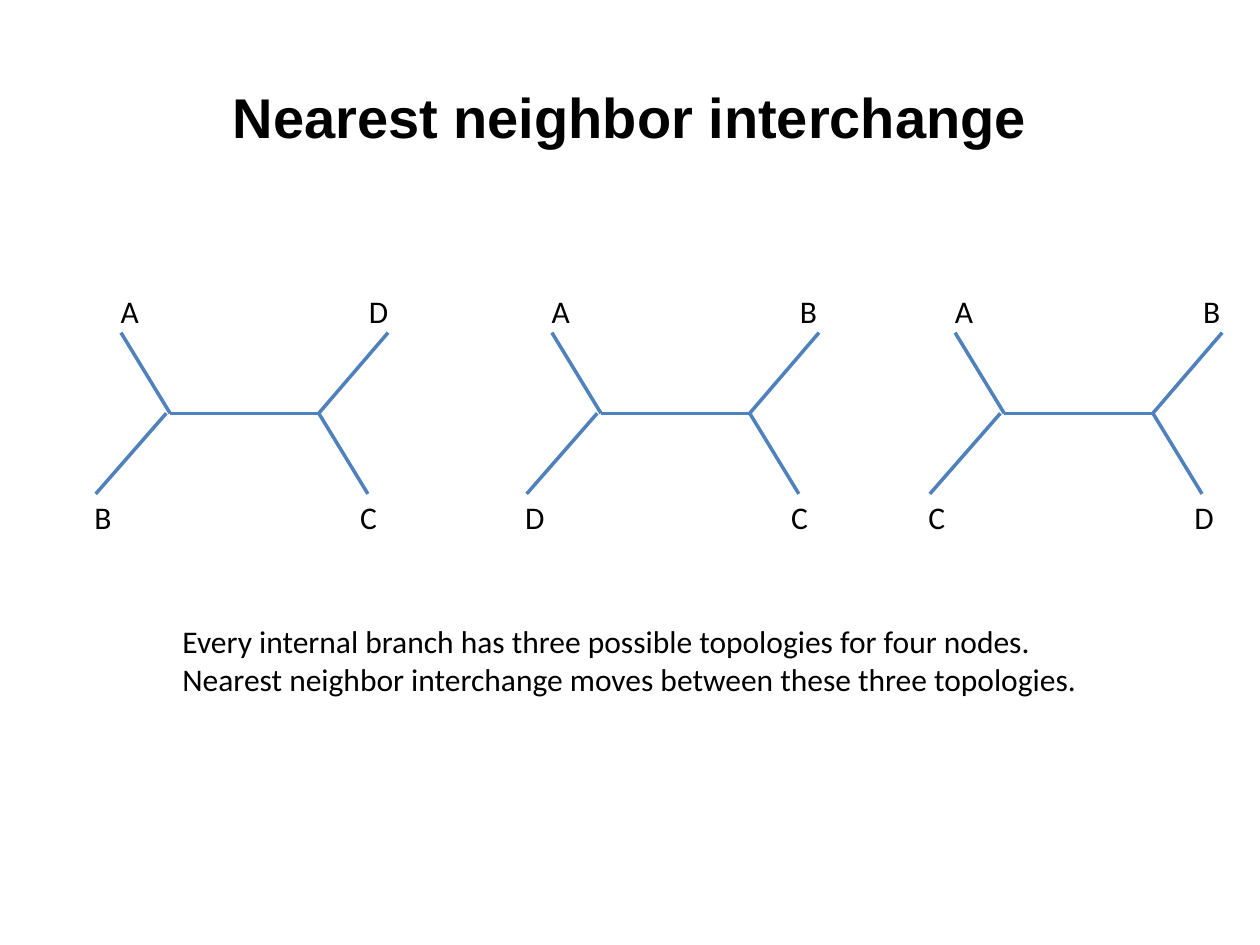
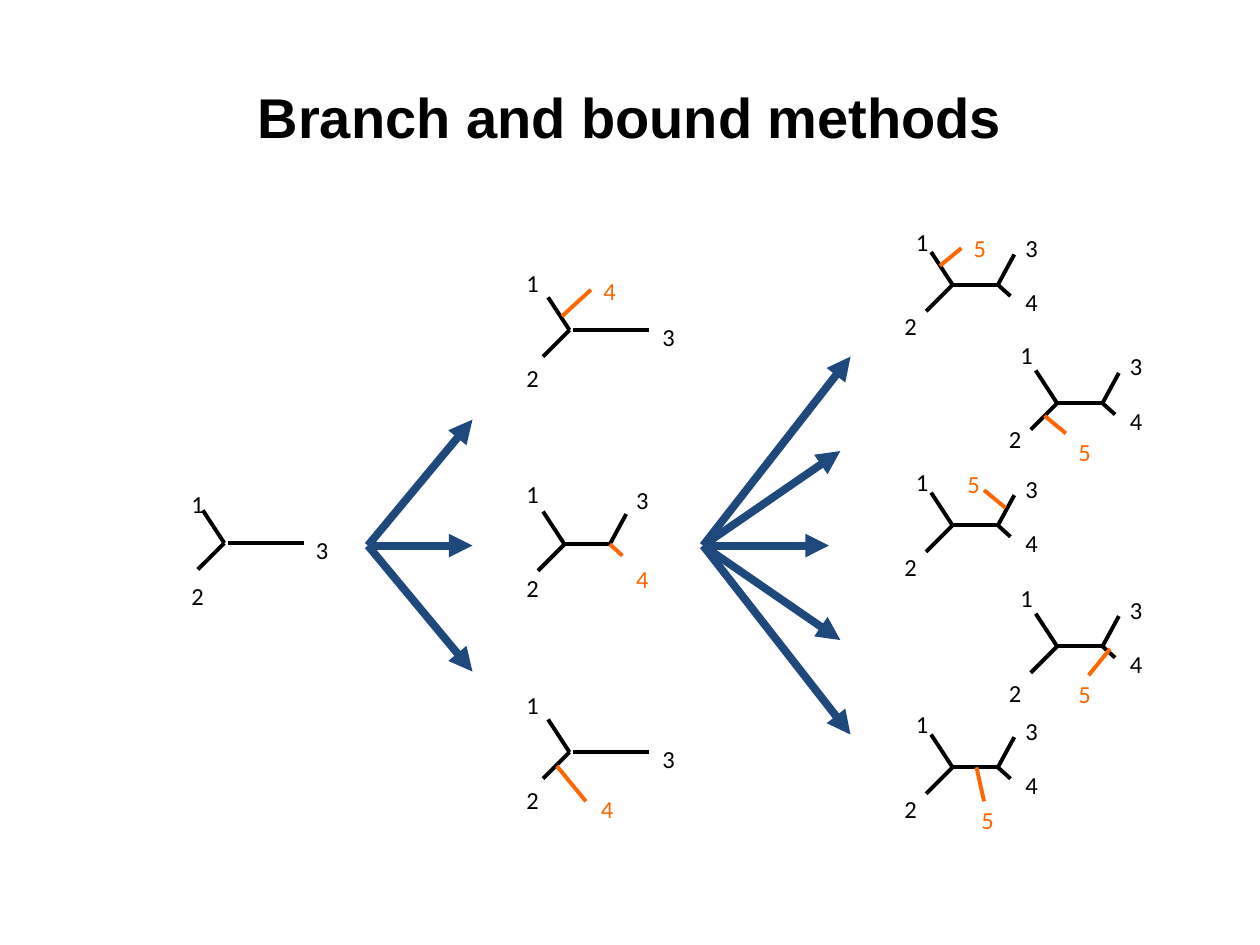
from dataclasses import dataclass

from lxml import etree
from pptx import Presentation
from pptx import util as u
from pptx.dml.color import RGBColor
from pptx.enum import shapes, text
from pptx.oxml import ns

PX = 9144  # EMU per px, 100 px to the inch


@dataclass(frozen=True)
class Theme:
    ink: str = "000000"
    blue: str = "4F81BD"
    navy: str = "1F497D"
    orange: str = "FF6600"
    title_font: str = "Arial"
    body_font: str = "Calibri"
    title_size: int = 32
    body_size: int = 18
    label_size: int = 14
    thin: float = 2
    medium: float = 2.25
    thick: float = 4.5


T = Theme()

# Branches run (x1, y1, x2, y2) and labels (dx, dy), both from the left node
WIDE_BRANCHES = [(0, 0, 118, 0), (-39, -64, 0, 0), (-3, 0, -59, 64),
                 (118, 0, 157, 64), (173, -64, 118, 0)]
WIDE_SPOTS = [(-49, -101), (-70, 62), (141, 62), (148, -101)]
FORK = [(0, 0, -17, -26), (0, 0, -21, 21)]
TRIPLE = FORK + [(3, 0, 63, 0)]
STEM = FORK + [(0, 0, 36, 0), (36, 0, 49, -24)]
LAST_TWIG = (36, 0, 46, 9)
QUARTET = STEM + [LAST_TWIG]

# Each tree: node, labels, then the new branch and the place of its label
FOUR_TAXA = [
    ((452, 262), (-6, -11, 17, -32), (17, -48)),
    ((452, 597), (-10, 11, 13, 39), (15, 28)),
]
# Each tree: node, dy of labels 1 and 2, new branch, place of its label
FIVE_TAXA = [
    ((756, 226), (-51, 16), (-10, -15, 7, -29), (7, -46)),
    ((839, 320), (-55, 12), (-10, 10, 7, 24), (7, 22)),
    ((756, 417), (-51, 16), (42, -14, 25, -28), (2, -50)),
    ((839, 513), (-55, 20), (42, 2, 25, 23), (7, 21)),
    ((756, 609), (-51, 16), (19, 0, 25, 27), (13, 25)),
]


def put_text(tf, *lines, size=T.body_size, font=T.body_font, color=T.ink,
             bold=False, align=text.PP_ALIGN.LEFT):
    for i, line in enumerate(lines):
        p = tf.add_paragraph() if i else tf.paragraphs[0]
        p.alignment = align
        r = p.add_run()
        r.text = line
        r.font.size, r.font.name, r.font.bold = u.Pt(size), font, bold
        r.font.color.rgb = RGBColor.from_string(color)


def add_label(parts, x, y, w, h, *lines, **fmt):
    tf = parts.add_textbox(*(v * PX for v in (x, y, w, h))).text_frame
    tf.word_wrap = False
    tf.auto_size = text.MSO_AUTO_SIZE.SHAPE_TO_FIT_TEXT
    put_text(tf, *lines, **fmt)


def add_line(parts, ends, color, width, arrow=False):
    c = parts.add_connector(shapes.MSO_CONNECTOR.STRAIGHT,
                            *(v * PX for v in ends))
    c.line.color.rgb = RGBColor.from_string(color)
    c.line.width = u.Pt(width)
    if arrow:
        tip = etree.SubElement(c.line._ln, ns.qn("a:tailEnd"))
        tip.set("type", "triangle")
    etree.SubElement(c._element.spPr, ns.qn("a:effectLst"))


def add_tree(parts, node, branches, labels, color=T.ink, width=T.medium,
             label_color=T.ink, size=T.label_size, box=(30, 33)):
    x, y = node
    for x1, y1, x2, y2 in branches:
        add_line(parts, (x + x1, y + y1, x + x2, y + y2), color, width)
    for name, (dx, dy) in labels.items():
        add_label(parts, x + dx, y + dy, *box, name,
                  size=size, color=label_color)


def add_new_branch(parts, node, branch, name, spot):
    add_tree(parts, node, [branch], {name: spot},
             color=T.orange, label_color=T.orange)


def add_arrows(parts, start, tips):
    for tip in tips:
        add_line(parts, (*start, *tip), T.navy, T.thick, arrow=True)


def add_slide(prs, title):
    s = prs.slides.add_slide(prs.slide_layouts[5])
    sp = s.shapes.title
    sp.left, sp.top, sp.width, sp.height = (
        v * PX for v in (50, 30, 900, 125))
    sp.text_frame.vertical_anchor = text.MSO_ANCHOR.MIDDLE
    put_text(sp.text_frame, title, size=T.title_size, font=T.title_font,
             bold=True, align=text.PP_ALIGN.CENTER)
    return s


def interchange_slide(prs):
    s = add_slide(prs, "Nearest neighbor interchange")
    # Names go top left, bottom left, bottom right, top right
    for x, names in ((135, "ABCD"), (477, "ADCB"), (797, "ACDB")):
        add_tree(s.shapes, (x, 328), WIDE_BRANCHES,
                 dict(zip(names, WIDE_SPOTS)), color=T.blue, width=T.thin,
                 size=T.body_size, box=(35, 40))
    add_label(
        s.shapes, 135, 489, 730, 71,
        "Every internal branch has three possible topologies for four nodes.",
        "Nearest neighbor interchange moves between these three topologies.")


def branch_and_bound_slide(prs):
    s = add_slide(prs, "Branch and bound methods")

    # Three taxa
    add_tree(s.shapes, (178, 431), TRIPLE,
             {"1": (-36, -48), "2": (-36, 25), "3": (63, -11)})

    # Four taxa
    parts = s.shapes.add_group_shape().shapes
    for node, branch, spot in FOUR_TAXA:
        add_tree(parts, node, TRIPLE,
                 {"1": (-44, -54), "2": (-44, 21), "3": (64, -11)})
        add_new_branch(parts, node, branch, "4", spot)
    middle = (448, 432)
    add_tree(parts, middle, STEM,
             {"1": (-40, -57), "2": (-40, 18), "3": (47, -52)})
    add_new_branch(parts, middle, LAST_TWIG, "4", (47, 11))
    add_arrows(parts, (292, 433), [(375, y) for y in (333, 433, 533)])

    # Five taxa
    parts = s.shapes.add_group_shape().shapes
    for node, (dy1, dy2), branch, spot in FIVE_TAXA:
        add_tree(parts, node, QUARTET,
                 {"1": (-39, dy1), "2": (-48, dy2),
                  "3": (48, -46), "4": (48, -3)})
        add_new_branch(parts, node, branch, "5", spot)
    add_arrows(parts, (558, 433), [(675, 283), (667, 358), (658, 433),
                                   (667, 508), (675, 583)])


def main():
    prs = Presentation()
    prs.slide_width, prs.slide_height = 1000 * PX, 750 * PX
    interchange_slide(prs)
    branch_and_bound_slide(prs)
    prs.save("out.pptx")


if __name__ == "__main__":
    main()
